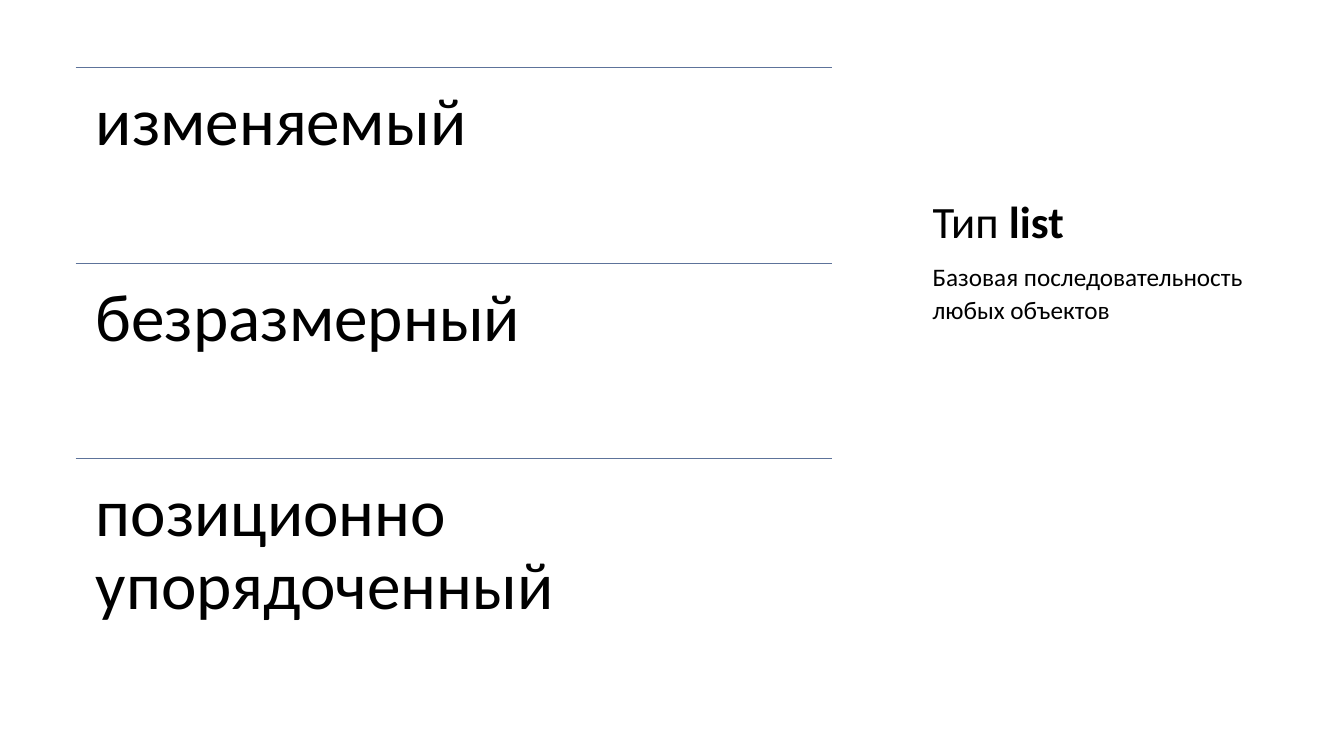
import dataclasses

import pptx
import pptx.dml.color
import pptx.enum.shapes
import pptx.enum.text
import pptx.oxml
import pptx.oxml.ns
import pptx.util

Inches = pptx.util.Inches
Pt = pptx.util.Pt
Anchor = pptx.enum.text.MSO_ANCHOR

FONT = "Calibri"
TEXT_COLOR = "000000"
RULE_COLOR = "5D739A"


@dataclasses.dataclass(frozen=True)
class Run:
    text: str
    bold: bool = False


@dataclasses.dataclass(frozen=True)
class TextBlock:
    left: float
    top: float
    width: float
    height: float
    runs: tuple[Run, ...]
    size: int
    inset: float = 0
    line_spacing: float = 1.0
    anchor: Anchor = Anchor.TOP


def color(hex_value: str) -> pptx.dml.color.RGBColor:
    return pptx.dml.color.RGBColor.from_string(hex_value)


def apply_format(target: object, values: dict[str, object]) -> None:
    for name, value in values.items():
        setattr(target, name, value)


def draw_text(slide: pptx.slide.Slide, block: TextBlock) -> None:
    box = slide.shapes.add_textbox(
        Inches(block.left), Inches(block.top), Inches(block.width), Inches(block.height)
    )
    frame = box.text_frame
    margins = {f"margin_{side}": Inches(block.inset) for side in ("left", "top", "right", "bottom")}
    apply_format(frame, {"word_wrap": True, "vertical_anchor": block.anchor, **margins})
    paragraph = frame.paragraphs[0]
    paragraph.line_spacing = block.line_spacing
    for part in block.runs:
        run = paragraph.add_run()
        run.text = part.text
        apply_format(run.font, {"name": FONT, "size": Pt(block.size), "bold": part.bold})
        run.font.color.rgb = color(TEXT_COLOR)


def draw_rule(slide: pptx.slide.Slide, left: float, top: float, width: float) -> None:
    rule = slide.shapes.add_connector(
        pptx.enum.shapes.MSO_CONNECTOR.STRAIGHT,
        Inches(left), Inches(top), Inches(left + width), Inches(top),
    )
    rule.line.width = Pt(0.5)
    rule.line.color.rgb = color(RULE_COLOR)
    properties = rule._element.find(pptx.oxml.ns.qn("p:spPr"))
    pptx.oxml.ns.qn("a:effectLst")
    properties.append(properties.makeelement(pptx.oxml.ns.qn("a:effectLst"), {}))


deck = pptx.Presentation()
apply_format(deck, {"slide_width": Inches(13.33), "slide_height": Inches(7.5)})
slide = deck.slides.add_slide(deck.slide_layouts[6])

# Heading and description on the right
SIDE_LEFT, SIDE_WIDTH = 9.25, 3.46
draw_text(slide, TextBlock(
    SIDE_LEFT, 0.66, SIDE_WIDTH, 1.8, (Run("Тип "), Run("list", bold=True)), 32,
    anchor=Anchor.BOTTOM,
))
draw_text(slide, TextBlock(
    SIDE_LEFT, 2.56, SIDE_WIDTH, 3.94, (Run("Базовая последовательность любых объектов"),), 18,
    line_spacing=1.1,
))

# List properties, each under its own rule
PROPERTIES = ("изменяемый", "безразмерный", "позиционно упорядоченный")
LIST_LEFT, LIST_TOP, LIST_WIDTH, ROW_HEIGHT = 0.75, 0.67, 7.5, 1.94
for row, list_property in enumerate(PROPERTIES):
    row_top = LIST_TOP + row * ROW_HEIGHT
    draw_rule(slide, LIST_LEFT, row_top, LIST_WIDTH)
    draw_text(slide, TextBlock(
        LIST_LEFT, row_top, LIST_WIDTH, ROW_HEIGHT, (Run(list_property),), 48,
        inset=0.2, line_spacing=0.9,
    ))

deck.save("out.pptx")
